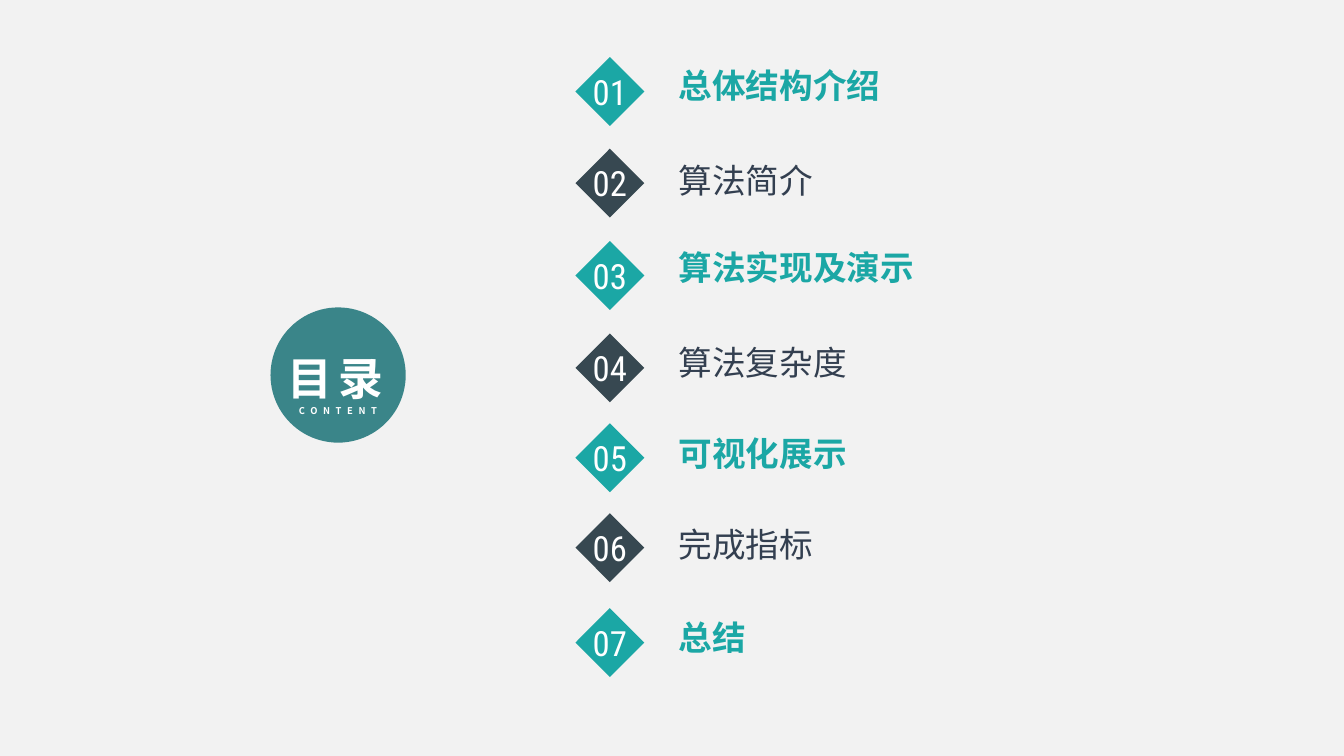
from dataclasses import dataclass

import pptx
import pptx.dml.color
import pptx.enum.shapes
import pptx.enum.text
import pptx.oxml.ns
import pptx.util
from lxml import etree

SHAPE = pptx.enum.shapes.MSO_SHAPE
ANCHOR = pptx.enum.text.MSO_ANCHOR
ALIGN = pptx.enum.text.PP_ALIGN

# The slide is a grid of 16 columns by 9 rows of square cells
WIDTH, HEIGHT = pptx.util.Inches(13.33), pptx.util.Inches(7.5)
COLUMNS, ROWS = 16, 9

TEAL, SLATE, NAVY = "1BA7A5", "374851", "333F50"
CIRCLE, PAPER, WHITE = "3A8589", "F2F2F2", "FFFFFF"
CJK_FONT = "Noto Sans CJK SC"

DIAMOND_LEFT, DIAMOND_SIZE = 6.85, 0.82
LABEL_LEFT, LABEL_WIDTH, LABEL_HEIGHT, LABEL_INDENT = 7.46, 5.2, 0.32, 0.62


@dataclass
class Entry:
    label: str
    diamond_top: float
    label_bottom: float


ENTRIES = [
    Entry("总体结构介绍", 0.68, 1.25),
    Entry("算法简介", 1.77, 2.38),
    Entry("算法实现及演示", 2.87, 3.42),
    Entry("算法复杂度", 3.97, 4.55),
    Entry("可视化展示", 5.04, 5.63),
    Entry("完成指标", 6.11, 6.72),
    Entry("总结", 7.24, 7.82),
]


def columns(count: float) -> int:
    return round(WIDTH * count / COLUMNS)


def rows(count: float) -> int:
    return round(HEIGHT * count / ROWS)


def box(left: float, top: float, width: float, height: float) -> tuple:
    return columns(left), rows(top), columns(width), rows(height)


def color(value: str):
    return pptx.dml.color.RGBColor.from_string(value)


def add_filled(shapes, kind, place: tuple, fill: str):
    shape = shapes.add_shape(kind, *place)
    shape.shadow.inherit = False
    shape.fill.solid()
    shape.fill.fore_color.rgb = color(fill)
    shape.line.fill.background()
    return shape


def set_frame(shape, anchor, margins: tuple):
    frame = shape.text_frame
    frame.word_wrap = False
    frame.vertical_anchor = anchor
    (frame.margin_left, frame.margin_top,
     frame.margin_right, frame.margin_bottom) = margins
    return frame.paragraphs[0]


def add_text(paragraph, text: str, *, size: float, font: str,
             fill: str = WHITE, bold: bool = False, spacing: float = 0,
             align=ALIGN.CENTER) -> None:
    paragraph.alignment = align
    run = paragraph.add_run()
    run.text = text
    run.font.size = pptx.util.Pt(size)
    run.font.name = font
    run.font.bold = bold
    run.font.color.rgb = color(fill)
    properties = run._r.get_or_add_rPr()
    if spacing:
        properties.set("spc", str(round(spacing * 100)))
    east_asian = etree.SubElement(properties, pptx.oxml.ns.qn("a:ea"))
    east_asian.set("typeface", CJK_FONT)


def add_title(slide) -> None:
    circle = add_filled(slide.shapes, SHAPE.OVAL,
                        box(3.22, 3.66, 1.61, 1.61), CIRCLE)
    side, edge = columns(0.16), rows(0.08)
    paragraph = set_frame(circle, ANCHOR.BOTTOM, (side, edge, side, edge))
    title_format = dict(font=CJK_FONT, bold=True, spacing=4)
    add_text(paragraph, "目录", size=32, **title_format)
    paragraph.add_line_break()
    add_text(paragraph, "CONTENT", size=6.7, **title_format)


def add_entry(slide, number: int, entry: Entry) -> None:
    highlighted = number % 2 == 1
    shapes = slide.shapes.add_group_shape().shapes

    # Numbered diamond
    diamond = add_filled(
        shapes, SHAPE.DIAMOND,
        box(DIAMOND_LEFT, entry.diamond_top, DIAMOND_SIZE, DIAMOND_SIZE),
        TEAL if highlighted else SLATE)
    paragraph = set_frame(diamond, ANCHOR.MIDDLE, (0, 0, 0, 0))
    add_text(paragraph, f"{number:02}", size=24.8, font="Roboto Condensed")

    # Section name
    label = shapes.add_textbox(*box(
        LABEL_LEFT, entry.label_bottom - LABEL_HEIGHT,
        LABEL_WIDTH, LABEL_HEIGHT))
    paragraph = set_frame(label, ANCHOR.BOTTOM, (columns(LABEL_INDENT), 0, 0, 0))
    add_text(paragraph, entry.label, size=24, font="Arial", bold=highlighted,
             fill=TEAL if highlighted else NAVY, align=ALIGN.LEFT)


def main() -> None:
    presentation = pptx.Presentation()
    presentation.slide_width, presentation.slide_height = WIDTH, HEIGHT
    slide = presentation.slides.add_slide(presentation.slide_layouts[6])
    slide.background.fill.solid()
    slide.background.fill.fore_color.rgb = color(PAPER)

    add_title(slide)
    for number, entry in enumerate(ENTRIES, start=1):
        add_entry(slide, number, entry)
    presentation.save("out.pptx")


if __name__ == "__main__":
    main()
